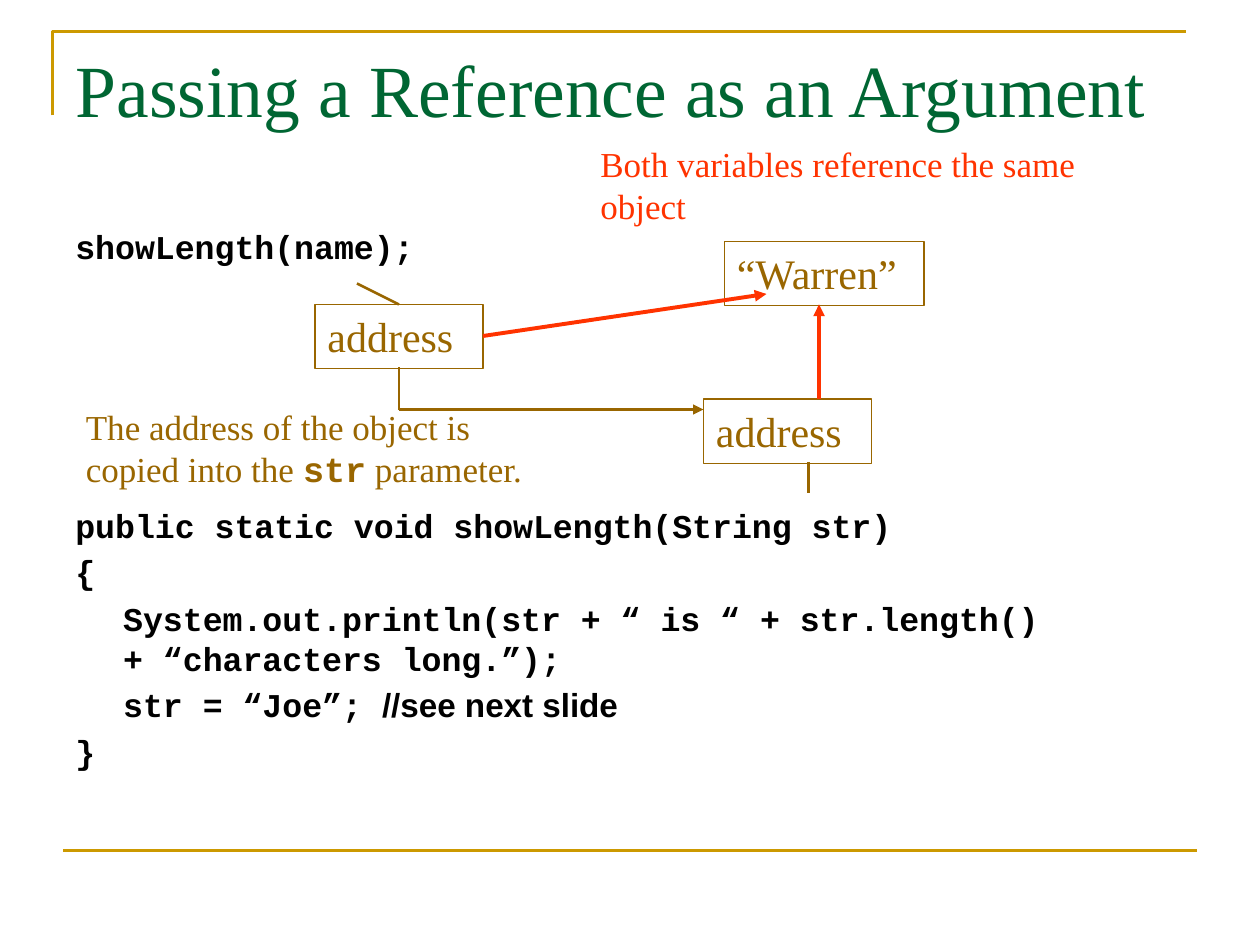
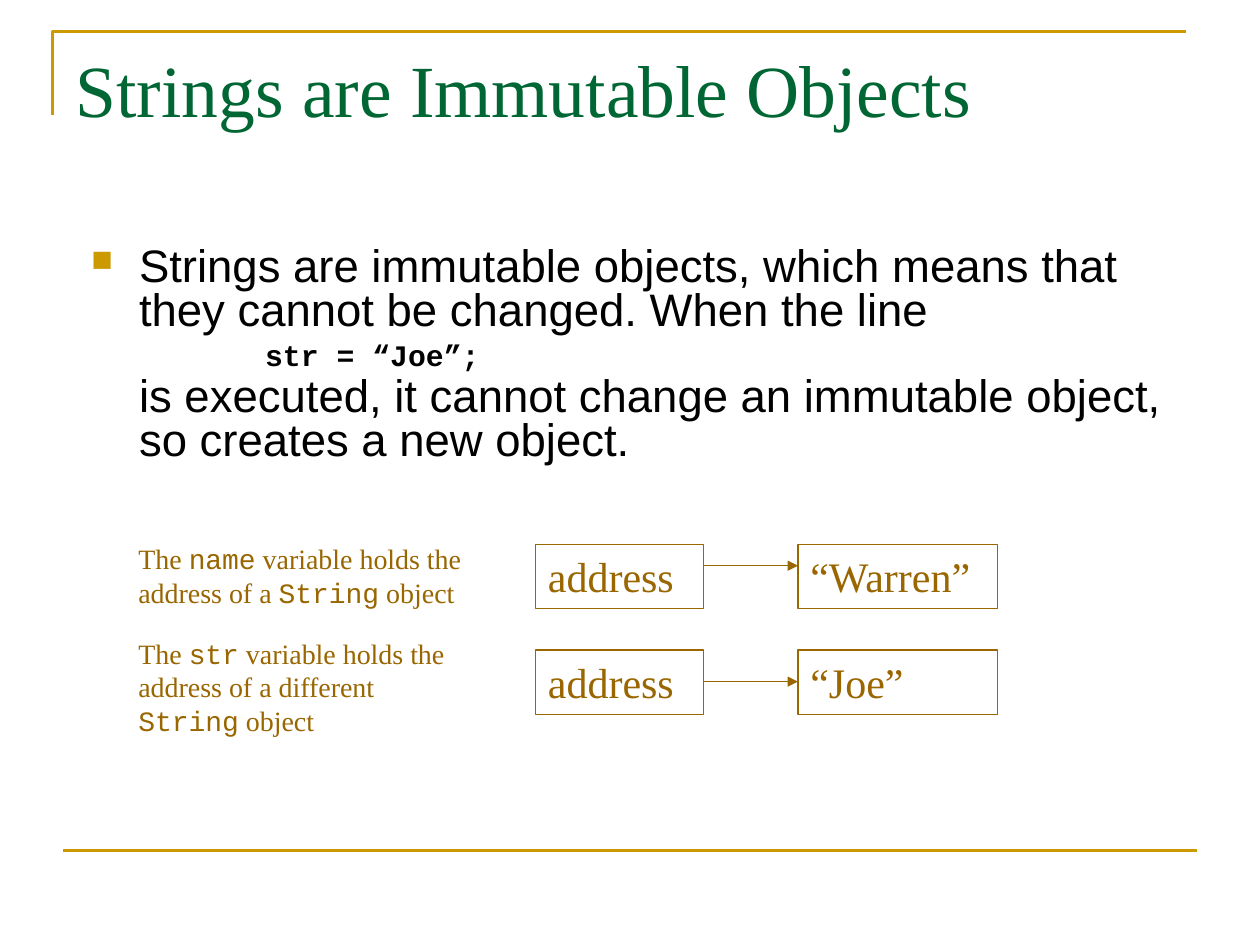
from lxml.etree import SubElement
from pptx import Presentation
from pptx.dml.color import RGBColor
from pptx.enum.shapes import MSO_CONNECTOR as Connector, MSO_SHAPE as Shape
from pptx.enum.text import MSO_ANCHOR as Anchor, PP_ALIGN as Align
from pptx.oxml.ns import qn
from pptx.util import Emu, Inches, Pt

COLORS = {"title": "006633", "rule": "CC9900", "brown": "996600",
          "red": "FF3300", "text": "000000"}
SERIF, SANS, MONO = "Times New Roman", "Arial", "Courier New"
TITLE_ONLY = 5
BOX_HEIGHT = 6.12
ADDRESS_WIDTH, VALUE_WIDTH = 16, 19
HANG = Inches(0.38)


def grid(count):
    """Turn a number of grid cells, twelve to the inch, into a length."""
    return Emu(round(count * Inches(1) / 12))


def color(name):
    """Look up a named colour."""
    return RGBColor.from_string(COLORS[name])


def add_spans(para, spans, size, tint):
    """Add (text, font, bold) spans to a paragraph; a newline is a line break."""
    for text, face, bold in spans:
        if text == "\n":
            para.add_line_break()
            continue
        span = para.add_run()
        span.text = text
        font = span.font
        font.name, font.size, font.bold = face, Pt(size), bold
        font.color.rgb = color(tint)


def add_text(page, area, spans, size, tint):
    """Add a text box with one paragraph and return its frame."""
    frame = page.shapes.add_textbox(*map(grid, area)).text_frame
    frame.word_wrap = True
    add_spans(frame.paragraphs[0], spans, size, tint)
    return frame


def add_para(frame, spans, size, before, margin=0, spacing=None):
    """Append a body paragraph, using the first one while it is empty."""
    first = frame.paragraphs[0]
    para = frame.add_paragraph() if first.runs else first
    para.space_before = Pt(before)
    if spacing:
        para.line_spacing = spacing
    properties = para._p.get_or_add_pPr()
    properties.set("marL", str(margin))
    properties.set("indent", "0")
    add_spans(para, spans, size, "text")
    return para


def add_bullet(para):
    """Give a paragraph a hanging square bullet."""
    properties = para._p.get_or_add_pPr()
    properties.set("indent", str(-HANG))
    bullet_color = SubElement(properties, qn("a:buClr"))
    SubElement(bullet_color, qn("a:srgbClr"), val=COLORS["rule"])
    SubElement(properties, qn("a:buSzPct"), val="65000")
    SubElement(properties, qn("a:buChar"), char="■")


def add_box(page, left, top, width, label):
    """Add an outlined box holding a variable's value."""
    box = page.shapes.add_shape(
        Shape.RECTANGLE, *map(grid, (left, top, width, BOX_HEIGHT)))
    box.shadow.inherit = False
    box.fill.background()
    box.line.color.rgb = color("brown")
    box.line.width = Pt(0.75)
    frame = box.text_frame
    frame.word_wrap = True
    frame.vertical_anchor = Anchor.TOP
    para = frame.paragraphs[0]
    para.alignment = Align.LEFT
    add_spans(para, [(label, SERIF, False)], 24, "brown")


def add_line(page, start, end, tint="brown", weight=1.5, arrow=False):
    """Add a straight line, with an arrowhead at its end if asked."""
    line = page.shapes.add_connector(
        Connector.STRAIGHT, *map(grid, start + end))
    line.line.color.rgb = color(tint)
    line.line.width = Pt(weight)
    if arrow:
        SubElement(line.line._get_or_add_ln(), qn("a:tailEnd"), type="triangle")
    SubElement(line._element.spPr, qn("a:effectLst"))


def add_page(deck, heading):
    """Add a slide with the shared corner rule, bottom rule and title."""
    page = deck.slides.add_slide(deck.slide_layouts[TITLE_ONLY])
    builder = page.shapes.build_freeform(grid(5), grid(11))
    builder.add_line_segments(
        [(grid(5), grid(3)), (grid(113), grid(3))], close=False)
    corner = builder.convert_to_shape()
    corner.shadow.inherit = False
    corner.fill.background()
    corner.line.color.rgb = color("rule")
    corner.line.width = Pt(1.5)
    add_line(page, (6, 81), (114, 81), "rule")
    title = page.shapes.title
    title.left, title.top, title.width, title.height = map(
        grid, (6, 3.6, 108, 15))
    frame = title.text_frame
    frame.vertical_anchor = Anchor.TOP
    para = frame.paragraphs[0]
    para.alignment = Align.LEFT
    add_spans(para, [(heading, SERIF, False)], 42, "title")
    return page


def add_code(page, top, height, lines):
    """Add code lines, each given as an indent level and its spans."""
    frame = page.shapes.add_textbox(
        *map(grid, (6, top, 108, height))).text_frame
    frame.word_wrap = True
    for level, spans in lines:
        add_para(frame, spans, 19, 3.8, level * HANG)


def build_passing(deck):
    """Build the slide on passing a reference."""
    page = add_page(deck, "Passing a Reference as an Argument")
    add_code(page, 21, 5, [(0, [("showLength(name);", MONO, True)])])
    add_code(page, 47.5, 32.9, [
        (0, [("public static void showLength(String str)", MONO, True)]),
        (0, [("{", MONO, True)]),
        (1, [("System.out.println(str + “ is “ + str.length()", MONO, True),
             ("\n", MONO, True),
             ("+ “characters long.”);", MONO, True)]),
        (1, [("str = “Joe”; ", MONO, True), ("//see next slide", SANS, True)]),
        (0, [("}", MONO, True)]),
    ])
    add_box(page, 30, 29, ADDRESS_WIDTH, "address")
    add_box(page, 67, 38, ADDRESS_WIDTH, "address")
    add_box(page, 69, 23, VALUE_WIDTH, "“Warren”")
    add_text(page, (56, 13, 56.4, 8),
             [("Both variables reference the same", SERIF, False),
              ("\n", SERIF, False), ("object", SERIF, False)], 20, "red")
    add_line(page, (34, 27), (38, 29))
    add_line(page, (38, 35), (38, 39))
    add_line(page, (38, 39), (67, 39), arrow=True)
    add_line(page, (46, 32), (73, 28), "red", 2.25, True)
    add_line(page, (77, 44), (77, 47))
    add_line(page, (78, 38), (78, 29), "red", 2.25, True)
    add_text(page, (7, 38, 48, 9.2),
             [("The address of the object is copied into the ", SERIF, False),
              ("str", MONO, True), (" parameter.", SERIF, False)], 20, "brown")


def build_immutable(deck):
    """Build the slide on immutable strings."""
    page = add_page(deck, "Strings are Immutable Objects")
    frame = page.shapes.add_textbox(
        *map(grid, (7.5, 23, 105, 28))).text_frame
    frame.word_wrap = True
    opening = ("Strings are immutable objects, which means that they cannot "
               "be changed. When the line")
    closing = ("is executed, it cannot change an immutable object, "
               "so creates a new object.")
    add_bullet(add_para(frame, [(opening, SANS, False)], 26, 1, HANG, 0.8))
    add_para(frame, [("str = “Joe”;", MONO, True)], 17, 5, Inches(1.38), 0.8)
    add_para(frame, [(closing, SANS, False)], 26, 3, HANG, 0.8)
    rows = [
        (51.84, 53.88, 51, 7.7, "name", "a ", "“Warren”"),
        (61.92, 64.92, 60, 10.8, "str", "a different ", "“Joe”"),
    ]
    for top, arrow_top, note_top, note_height, name, which, value in rows:
        add_box(page, 51, top, ADDRESS_WIDTH, "address")
        add_box(page, 76, top, VALUE_WIDTH, value)
        add_line(page, (67, arrow_top), (76, arrow_top), "brown", 0.75, True)
        add_text(page, (12, note_top, 35, note_height),
                 [("The ", SERIF, False), (name, MONO, False),
                  (" variable holds the address of " + which, SERIF, False),
                  ("String", MONO, False), (" object", SERIF, False)],
                 16, "brown")


def main():
    """Build and save the deck."""
    deck = Presentation()
    deck.slide_width, deck.slide_height = Inches(10), Inches(7.5)
    build_passing(deck)
    build_immutable(deck)
    deck.save("out.pptx")


main()
